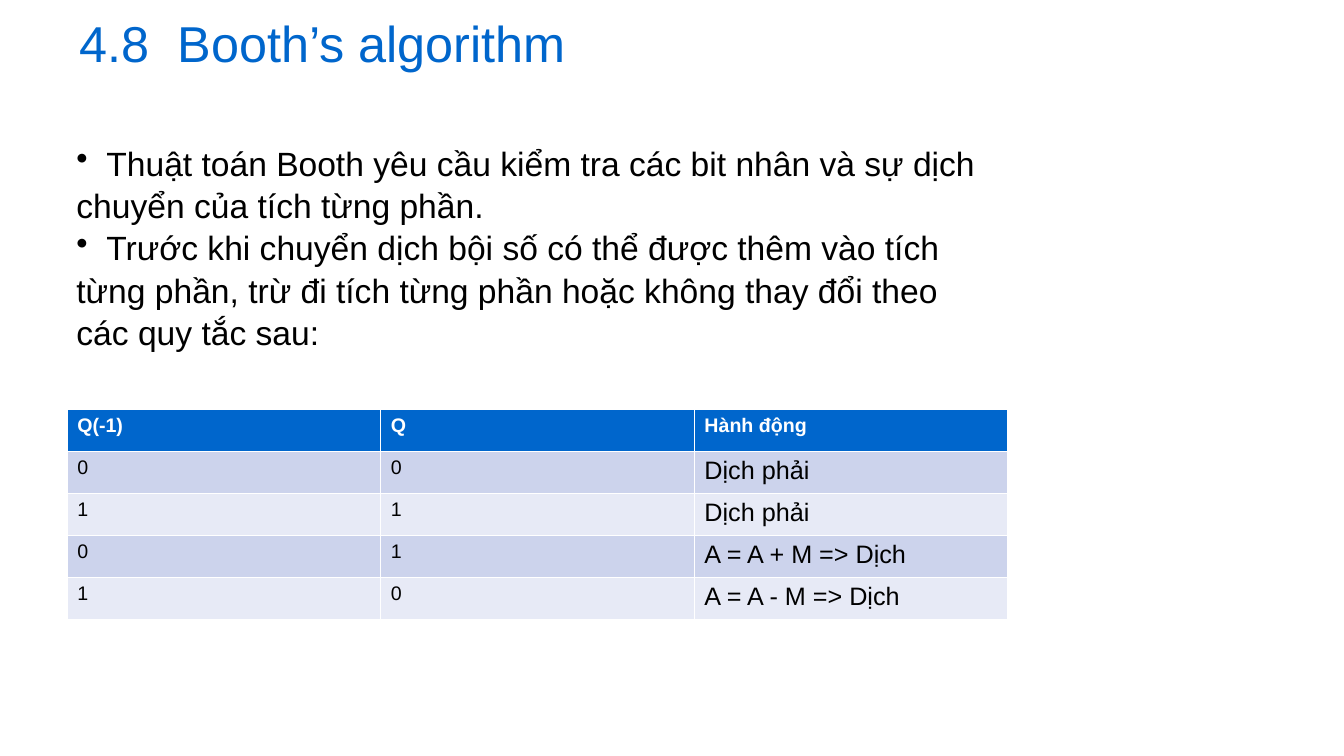
import pptx
import pptx.dml.color
import pptx.enum.text
import pptx.oxml.ns
import pptx.util
import lxml.etree

Pt = pptx.util.Pt
RGBColor = pptx.dml.color.RGBColor

BLUE = RGBColor(0x00, 0x66, 0xCC)
BLACK = RGBColor(0x00, 0x00, 0x00)
WHITE = RGBColor(0xFF, 0xFF, 0xFF)
BAND_DARK = RGBColor(0xCC, 0xD3, 0xEC)
BAND_LIGHT = RGBColor(0xE7, 0xEA, 0xF6)

TITLE = "4.8  Booth’s algorithm"
POINTS = [
    "  Thuật toán Booth yêu cầu kiểm tra các bit nhân và sự dịch chuyển "
    "của tích từng phần.",
    "  Trước khi chuyển dịch bội số có thể được thêm vào tích từng phần, "
    "trừ đi tích từng phần hoặc không thay đổi theo các quy tắc sau:",
]
RULES = [
    ("Q(-1)", "Q", "Hành động"),
    ("0", "0", "Dịch phải"),
    ("1", "1", "Dịch phải"),
    ("0", "1", "A = A + M => Dịch"),
    ("1", "0", "A = A - M => Dịch"),
]
ROW_HEIGHT = 30
COLUMN_WIDTH = 224


def write(para, text, size, color, bold=False):
    span = para.add_run()
    span.text = text
    span.font.color.rgb = color
    for name, value in {"name": "Arial", "size": Pt(size), "bold": bold}.items():
        setattr(span.font, name, value)


deck = pptx.Presentation()
deck.slide_width, deck.slide_height = Pt(960), Pt(540)
page = deck.slides.add_slide(deck.slide_layouts[6])

# Title
title_frame = page.shapes.add_textbox(Pt(48), Pt(15), Pt(864), Pt(46)).text_frame
title_format = {
    "word_wrap": True,
    "vertical_anchor": pptx.enum.text.MSO_ANCHOR.BOTTOM,
    "margin_left": Pt(9),
    "margin_right": Pt(9),
    "margin_top": Pt(9),
    "margin_bottom": Pt(9),
}
for name, value in title_format.items():
    setattr(title_frame, name, value)
write(title_frame.paragraphs[0], TITLE, 36, BLUE)

# Bulleted explanation, with wrapped lines flush with the bullets
body_frame = page.shapes.add_textbox(Pt(47.5), Pt(97), Pt(672), Pt(155)).text_frame
body_frame.word_wrap = True
for index, point in enumerate(POINTS):
    para = body_frame.add_paragraph() if index else body_frame.paragraphs[0]
    para.line_spacing = 1.05
    write(para, point, 24, BLACK)
    properties = para._p.get_or_add_pPr()
    properties.set("marL", "0")
    properties.set("indent", "0")
    bullet = lxml.etree.SubElement(properties, pptx.oxml.ns.qn("a:buChar"))
    bullet.set("char", "•")

# Table of rules; its default style supplies the white borders
table = page.shapes.add_table(
    len(RULES), len(RULES[0]), Pt(48), Pt(292.5),
    Pt(COLUMN_WIDTH * len(RULES[0])), Pt(ROW_HEIGHT * len(RULES)),
).table
for row_index, rule in enumerate(RULES):
    header = row_index == 0
    band = BAND_DARK if row_index % 2 else BAND_LIGHT
    for column_index, text in enumerate(rule):
        cell = table.cell(row_index, column_index)
        cell.fill.solid()
        cell.fill.fore_color.rgb = BLUE if header else band
        size = 18 if column_index == 2 and not header else 14
        write(cell.text_frame.paragraphs[0], text, size,
              WHITE if header else BLACK, bold=header)

deck.save("out.pptx")
